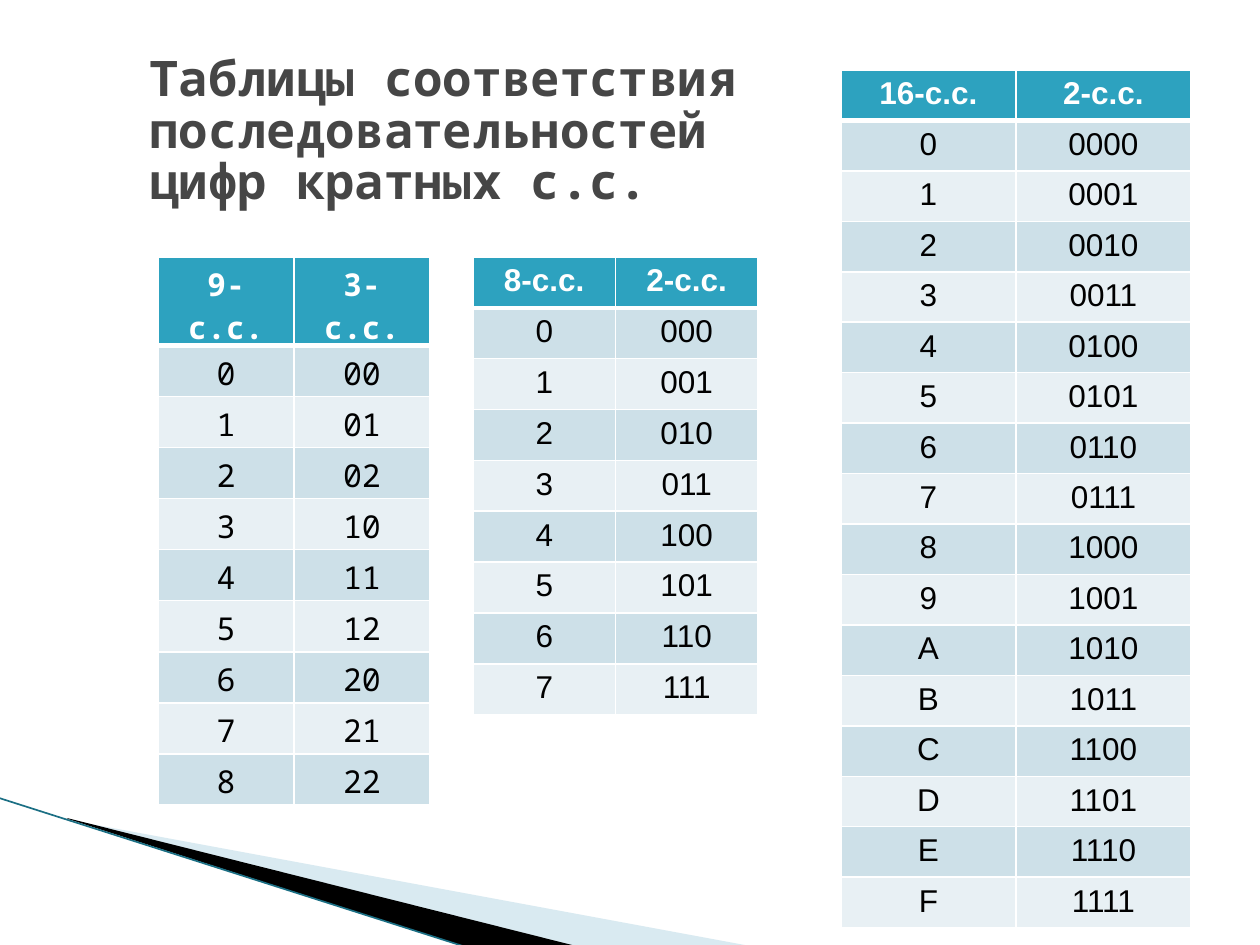
from dataclasses import dataclass

from lxml.etree import SubElement
from pptx import Presentation
from pptx.dml.color import RGBColor
from pptx.enum.shapes import MSO_CONNECTOR
from pptx.enum.text import MSO_ANCHOR, PP_ALIGN
from pptx.oxml import parse_xml
from pptx.oxml.ns import nsdecls, qn
from pptx.util import Emu, Pt

# Content
TITLE = "Таблицы соответствия\vпоследовательностей цифр кратных с.с."
TABLES = [
    {
        "header": ("8-с.с.", "2-с.с."),
        "digits": "01234567",
        "codes": "000 001 010 011 100 101 110 111",
        "box": (473, 257, 285, 458),
        "font": "Arial",
    },
    {
        "header": ("16-с.с.", "2-с.с."),
        "digits": "0123456789ABCDEF",
        "codes": "0000 0001 0010 0011 0100 0101 0110 0111 "
                 "1000 1001 1010 1011 1100 1101 1110 1111",
        "box": (841, 70, 350, 844),
        "font": "Arial",
    },
    {
        "header": ("9-c.c.", "3-c.c."),
        "digits": "012345678",
        "codes": "00 01 02 10 11 12 20 21 22",
        "box": (158, 257, 272, 511),
        "font": "Noto Sans Mono",
    },
]
TITLE_BOX = (137, 29, 689, 207)
PALE_WEDGE = [(69, 820), (750, 946), (575, 946), (69, 819)]
BLACK_WEDGE = [(67, 818), (576, 946), (469, 948), (68, 819)]
EDGE_LINE = (-1, 798, 469, 948)


@dataclass(frozen=True)
class Theme:
    title: str = "464646"
    header: str = "2DA2BF"
    bands: tuple = ("CDE0E8", "E8F0F4")
    white: str = "FFFFFF"
    black: str = "000000"
    wedge: str = "A0CBDC"
    edge: str = "1B6F84"
    title_font: str = "Noto Sans Mono"
    title_size: int = 28
    cell_size: int = 18


THEME = Theme()
SCALE = 914400 / 126


def px(length):
    return Emu(round(length * SCALE))


def color(value):
    return RGBColor.from_string(value)


def write_text(frame, text, *, font, size, fill, bold=False,
               align=PP_ALIGN.LEFT, spacing=None):
    paragraph = frame.paragraphs[0]
    paragraph.text = text
    paragraph.alignment = align
    paragraph.line_spacing = spacing
    for run in paragraph.runs:
        run.font.name = font
        run.font.size = Pt(size)
        run.font.bold = bold
        run.font.color.rgb = color(fill)


def add_wedge(slide, points, fill, opacity=100):
    builder = slide.shapes.build_freeform(*points[0], scale=SCALE)
    builder.add_line_segments(points[1:], close=True)
    shape = builder.convert_to_shape()
    shape.shadow.inherit = False
    shape.line.fill.background()
    shape.fill.solid()
    shape.fill.fore_color.rgb = color(fill)
    if opacity < 100:
        fill_color = shape.fill._xPr.find(qn("a:solidFill"))[0]
        SubElement(fill_color, qn("a:alpha"), val=str(opacity * 1000))


def add_edge(slide):
    line = slide.shapes.add_connector(MSO_CONNECTOR.STRAIGHT, *map(px, EDGE_LINE))
    line.line.color.rgb = color(THEME.edge)
    line.line.width = Pt(0.95)
    SubElement(line._element.spPr, qn("a:effectLst"))


def set_borders(cell, top, bottom):
    sides = {"lnL": 1, "lnR": 1, "lnT": top, "lnB": bottom}
    for index, (side, width) in enumerate(sides.items()):
        border = parse_xml(
            f'<a:{side} {nsdecls("a")} w="{Pt(width)}"><a:solidFill>'
            f'<a:srgbClr val="{THEME.white}"/></a:solidFill></a:{side}>')
        cell._tc.get_or_add_tcPr().insert(index, border)


def add_code_table(slide, header, digits, codes, box, font):
    rows = [header, *zip(digits, codes.split())]
    left, top, width, height = box
    table = slide.shapes.add_table(len(rows), len(header), *map(px, box)).table
    for column in table.columns:
        column.width = px(width / len(header))
    for row_index, values in enumerate(rows):
        table.rows[row_index].height = px(height / len(rows))
        is_header = row_index == 0
        fill = THEME.header if is_header else THEME.bands[(row_index - 1) % 2]
        for column_index, text in enumerate(values):
            cell = table.cell(row_index, column_index)
            cell.fill.solid()
            cell.fill.fore_color.rgb = color(fill)
            set_borders(cell, top=3 if row_index == 1 else 1,
                        bottom=3 if is_header else 1)
            write_text(cell.text_frame, text, font=font, size=THEME.cell_size,
                       fill=THEME.white if is_header else THEME.black,
                       bold=is_header, align=PP_ALIGN.CENTER)


def main():
    presentation = Presentation()
    presentation.slide_width, presentation.slide_height = px(1260), px(945)
    slide = presentation.slides.add_slide(presentation.slide_layouts[6])

    # Corner decoration
    add_wedge(slide, PALE_WEDGE, THEME.wedge, opacity=40)
    add_wedge(slide, BLACK_WEDGE, THEME.black)
    add_edge(slide)

    # Title
    frame = slide.shapes.add_textbox(*map(px, TITLE_BOX)).text_frame
    frame.word_wrap = True
    frame.vertical_anchor = MSO_ANCHOR.MIDDLE
    write_text(frame, TITLE, font=THEME.title_font, size=THEME.title_size,
               fill=THEME.title, bold=True, spacing=0.88)

    # Digit tables
    for table in TABLES:
        add_code_table(slide, **table)

    presentation.save("out.pptx")


if __name__ == "__main__":
    main()
